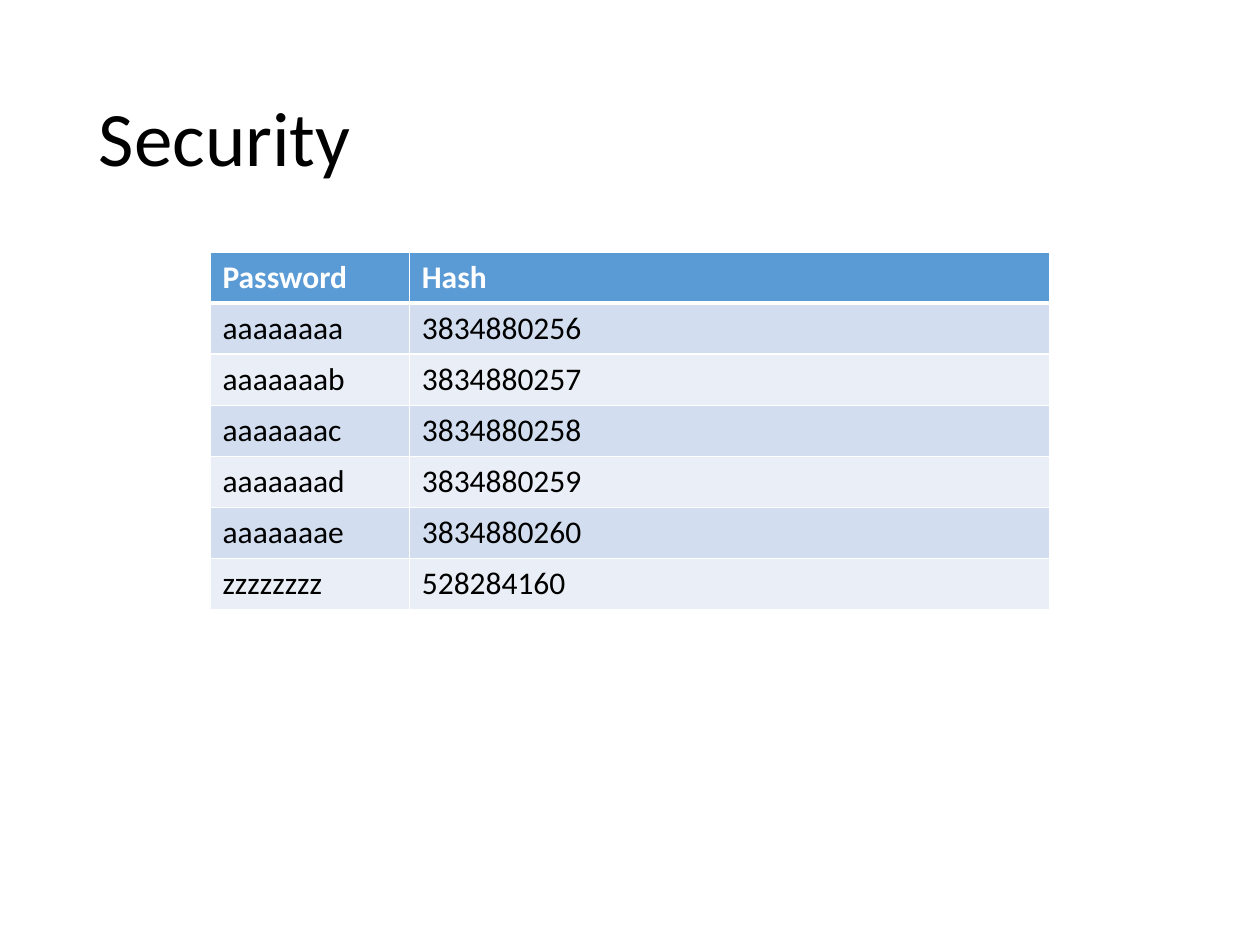
from lxml import etree
from pptx import Presentation
from pptx import util as u
from pptx.dml.color import RGBColor
from pptx.enum import text
from pptx.oxml import ns

HUES = {"ink": "000000", "paper": "FFFFFF", "head": "5B9BD5",
        "odd": "D2DEEF", "even": "EAEFF7"}
TITLE = {"size": u.Pt(44), "name": "Calibri", "bold": False}
HEAD = {"size": u.Pt(18), "name": "Calibri", "bold": True}
BODY = {**HEAD, "bold": False}

ROWS = [
    ("Password", "Hash"),
    ("aaaaaaaa", "3834880256"),
    ("aaaaaaab", "3834880257"),
    ("aaaaaaac", "3834880258"),
    ("aaaaaaad", "3834880259"),
    ("aaaaaaae", "3834880260"),
    ("zzzzzzzz", "528284160"),
]


class Deck:
    def __init__(self, wide, high):
        self.prs = Presentation()
        self.prs.slide_width, self.prs.slide_height = u.Pt(wide), u.Pt(high)
        self.slide = self.prs.slides.add_slide(self.prs.slide_layouts[6])

    def label(self, para, words, form, hue):
        para.text = words
        font = para.runs[0].font
        for key, value in form.items():
            setattr(font, key, value)
        font.color.rgb = RGBColor.from_string(HUES[hue])

    def title(self, words, left, top, wide, high):
        box = self.slide.shapes.add_textbox(*map(u.Pt, (left, top, wide, high)))
        frame = box.text_frame
        frame.word_wrap = True
        frame.vertical_anchor = text.MSO_ANCHOR.MIDDLE
        para = frame.paragraphs[0]
        para.line_spacing = 0.9
        self.label(para, words, TITLE, "ink")

    def edge(self, cell, side, width, hue):
        props = cell._tc.get_or_add_tcPr()
        line = etree.SubElement(props, ns.qn(f"a:ln{side}"), w=str(u.Pt(width)))
        fill = etree.SubElement(line, ns.qn("a:solidFill"))
        etree.SubElement(fill, ns.qn("a:srgbClr"), val=HUES[hue])

    def table(self, rows, left, top, cols, step):
        size = (left, top, sum(cols), step * len(rows))
        grid = self.slide.shapes.add_table(
            len(rows), len(cols), *map(u.Pt, size)).table
        for col, wide in zip(grid.columns, cols):
            col.width = u.Pt(wide)
        for i, row in enumerate(rows):
            grid.rows[i].height = u.Pt(step)
            # Header first, then alternating bands
            band = "head" if i == 0 else "odd" if i % 2 else "even"
            form, hue = (HEAD, "paper") if i == 0 else (BODY, "ink")
            # A thick rule parts the header from the body
            rules = {"L": 1, "R": 1, "T": 3 if i == 1 else 1,
                     "B": 3 if i == 0 else 1}
            for j, words in enumerate(row):
                cell = grid.cell(i, j)
                for side, width in rules.items():
                    self.edge(cell, side, width, "paper")
                cell.fill.solid()
                cell.fill.fore_color.rgb = RGBColor.from_string(HUES[band])
                self.label(cell.text_frame.paragraphs[0], words, form, hue)


def main():
    deck = Deck(720, 540)
    # Heading
    deck.title("Security", 49.5, 28.75, 621, 104.4)
    # Passwords and their hashes
    deck.table(ROWS, 120, 144, (113.9, 366.1), 29.2)
    deck.prs.save("out.pptx")


if __name__ == "__main__":
    main()
